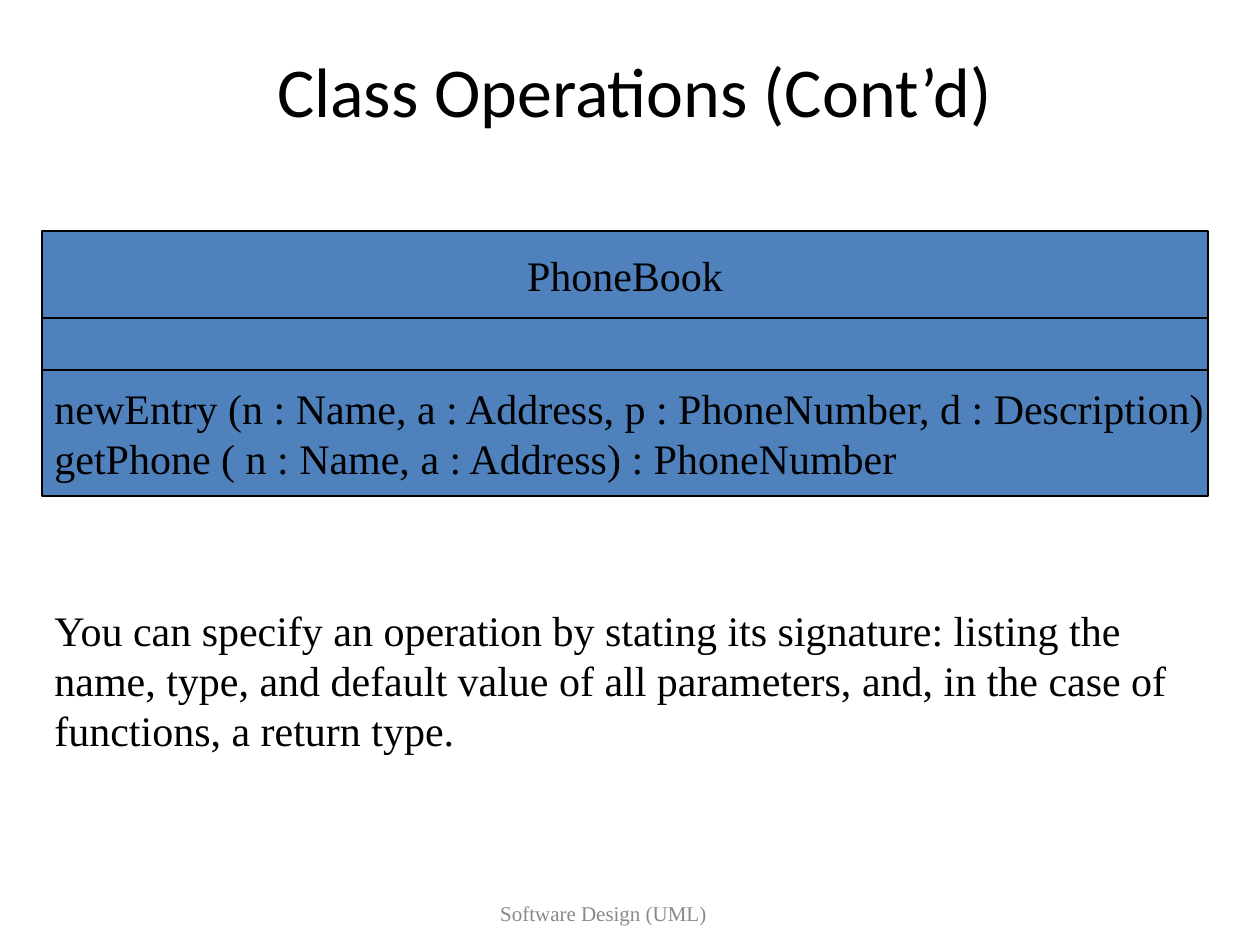
from pptx import Presentation
from pptx.dml.color import RGBColor
from pptx.enum.shapes import MSO_SHAPE
from pptx.enum.text import MSO_ANCHOR, PP_ALIGN
from pptx.util import Emu, Pt

PX_PER_INCH = 126
EMU_PER_INCH = 914400

BLACK = RGBColor(0x00, 0x00, 0x00)
GRAY = RGBColor(0x89, 0x89, 0x89)
BLUE = RGBColor(0x4F, 0x81, 0xBD)

SANS = "Calibri"
SERIF = "Times New Roman"

LEFT, CENTER = PP_ALIGN.LEFT, PP_ALIGN.CENTER
TOP, MIDDLE = MSO_ANCHOR.TOP, MSO_ANCHOR.MIDDLE
RECTANGLE = MSO_SHAPE.RECTANGLE

CLASS_LEFT, CLASS_WIDTH = 42, 1166
BODY_LINE = Pt(28.8)


def px(value):
    return Emu(round(value * EMU_PER_INCH / PX_PER_INCH))


def write(shape, text, size, font=SERIF, color=BLACK, align=LEFT,
          anchor=MIDDLE, wrap=True, line_spacing=None):
    frame = shape.text_frame
    frame.text = text
    frame.word_wrap = wrap
    frame.vertical_anchor = anchor
    for para in frame.paragraphs:
        para.alignment = align
        para.line_spacing = line_spacing
        for span in para.runs:
            span.font.name = font
            span.font.size = Pt(size)
            span.font.color.rgb = color


def add_text(page, left, top, width, height, text, size, **style):
    box = page.shapes.add_textbox(px(left), px(top), px(width), px(height))
    write(box, text, size, **style)


def add_compartment(group, top, height, text="", align=LEFT):
    """Add one section of the UML class box."""
    section = group.shapes.add_shape(
        RECTANGLE, px(CLASS_LEFT), px(top), px(CLASS_WIDTH), px(height))
    section.shadow.inherit = False
    section.fill.solid()
    section.fill.fore_color.rgb = BLUE
    section.line.color.rgb = BLACK
    section.line.width = Pt(0.75)
    if text:
        write(section, text, 24, align=align, wrap=False,
              line_spacing=BODY_LINE)


def add_class_box(page):
    group = page.shapes.add_group_shape()
    add_compartment(group, 231, 87, "PhoneBook", CENTER)
    add_compartment(group, 318, 66)
    add_compartment(
        group, 370, 126,
        "newEntry (n : Name, a : Address, p : PhoneNumber, d : Description)\n"
        "getPhone ( n : Name, a : Address) : PhoneNumber")


def main():
    deck = Presentation()
    deck.slide_width, deck.slide_height = px(1260), px(945)
    page = deck.slides.add_slide(deck.slide_layouts[6])

    add_text(page, 94, 53, 1081, 73, "Class Operations (Cont’d)", 40,
             font=SANS, align=CENTER)
    add_text(page, 325, 882, 557, 63, "Software Design (UML)", 12,
             color=GRAY, align=CENTER)
    add_class_box(page)
    add_text(page, 42, 598, 1155, 164,
             "You can specify an operation by stating its signature: listing "
             "the name, type, and default value of all parameters, and, in "
             "the case of functions, a return type.",
             24, anchor=TOP, line_spacing=BODY_LINE)

    deck.save("out.pptx")


if __name__ == "__main__":
    main()
